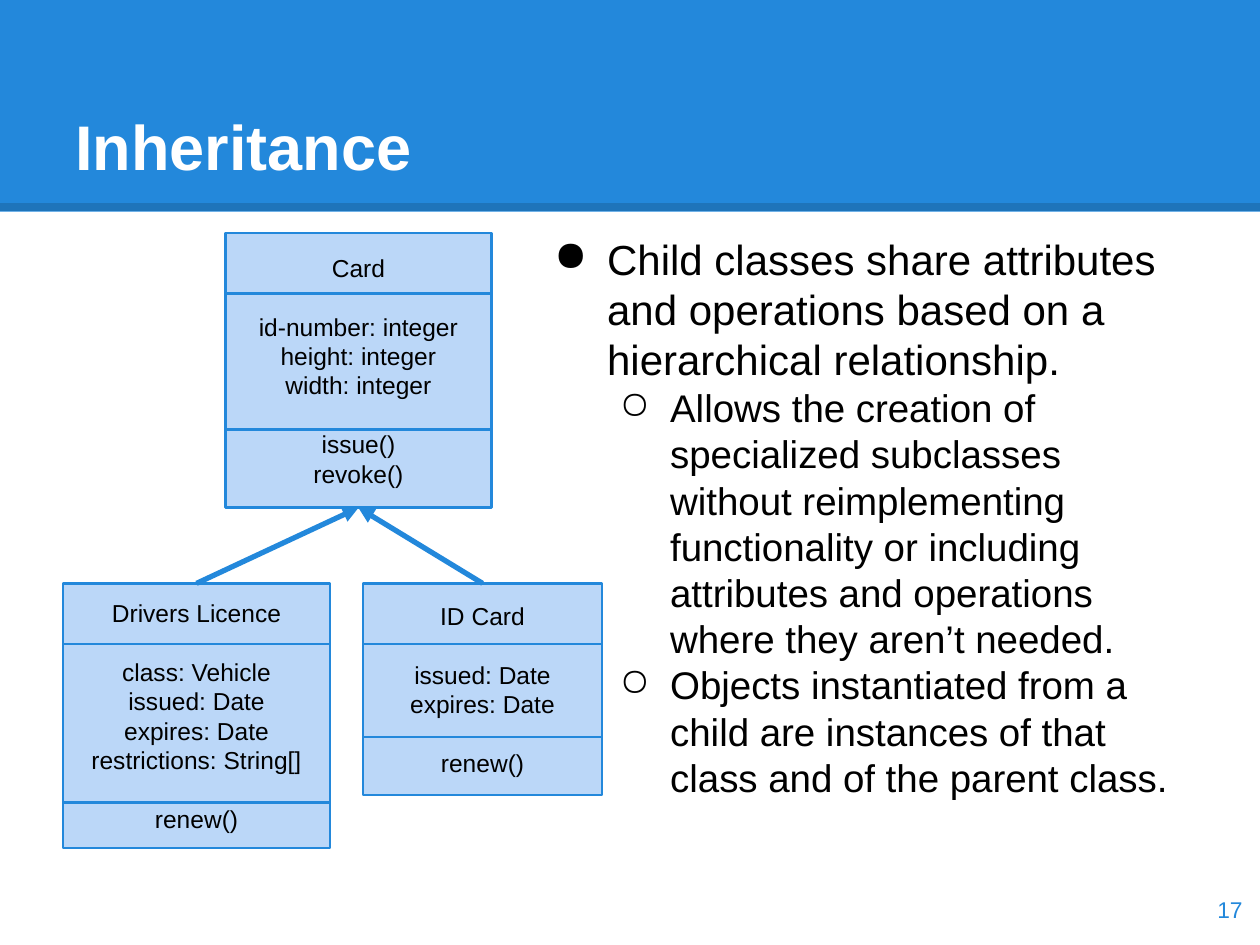
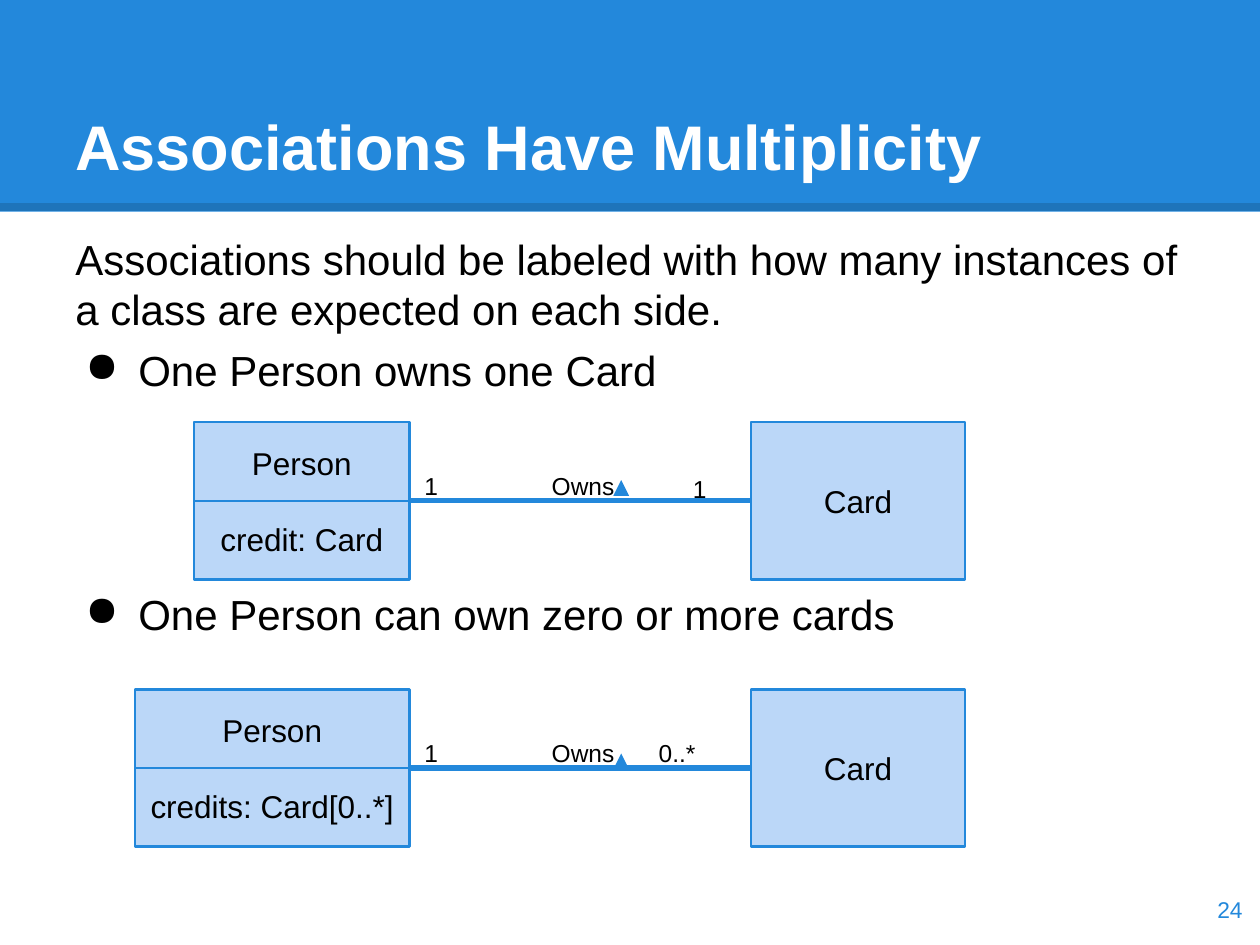
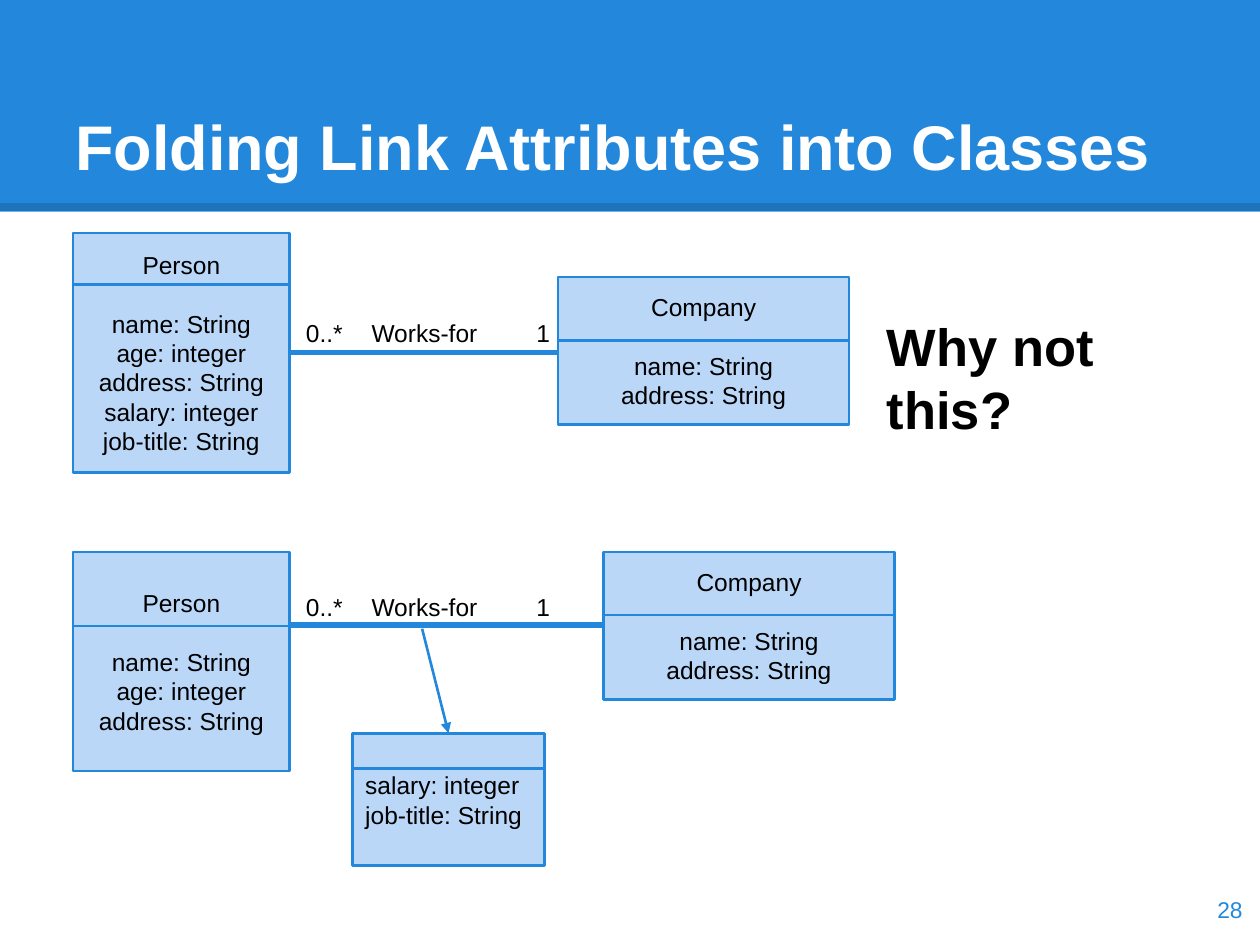
from dataclasses import dataclass

from lxml import etree
from pptx import Presentation
from pptx.dml.color import RGBColor
from pptx.enum.shapes import MSO_CONNECTOR, MSO_SHAPE
from pptx.enum.text import MSO_ANCHOR, PP_ALIGN
from pptx.oxml.ns import qn
from pptx.util import Inches, Pt

LEFT, CENTER, RIGHT = PP_ALIGN.LEFT, PP_ALIGN.CENTER, PP_ALIGN.RIGHT
TOP, MIDDLE, BOTTOM = MSO_ANCHOR.TOP, MSO_ANCHOR.MIDDLE, MSO_ANCHOR.BOTTOM
RECTANGLE, STRAIGHT = MSO_SHAPE.RECTANGLE, MSO_CONNECTOR.STRAIGHT

BLUE = RGBColor(0x23, 0x88, 0xDB)
DARK_BLUE = RGBColor(0x1E, 0x74, 0xBA)
PALE_BLUE = RGBColor(0xBB, 0xD7, 0xF8)
BLACK = RGBColor(0, 0, 0)
WHITE = RGBColor(0xFF, 0xFF, 0xFF)

FONT = "Arial"
PAGE_WIDTH, PAGE_HEIGHT = 10, 7.5
MARGIN = 0.5
CONTENT_WIDTH = PAGE_WIDTH - 2 * MARGIN
BODY_TOP = 1.75
LINE_HEIGHT = 1.2
THIN, THICK = 1.5, 3

# Bullet level: (character, left margin, hanging indent, text size)
BULLETS = {1: ("●", 0.5, -0.42, 24), 2: ("○", 1, -0.4, 22)}
BODY_SIZE, BODY_SPACE = 24, 6
DIAGRAM_GAP = 3 * (BODY_SIZE * LINE_HEIGHT + BODY_SPACE) + BODY_SPACE


@dataclass
class ClassBox:
    """A UML class: compartments of text, with dividers measured from the top."""
    left: float
    top: float
    width: float
    height: float
    compartments: list
    dividers: tuple = ()
    size: int = 14
    align: PP_ALIGN = CENTER

    @property
    def right(self):
        return self.left + self.width

    @property
    def top_center(self):
        return self.left + self.width / 2, self.top

    @property
    def bottom_center(self):
        return self.left + self.width / 2, self.top + self.height


# Slide 1
INHERITANCE_POINTS = [
    # level, space before, text
    (1, 0, "Child classes share attributes and operations based on a "
           "hierarchical relationship."),
    (2, 0, "Allows the creation of specialized subclasses without "
           "reimplementing functionality or including attributes and "
           "operations where they aren’t needed."),
    (2, 0, "Objects instantiated from a child are instances of that class "
           "and of the parent class."),
]
PARENT = ClassBox(1.79, 1.85, 2.11, 2.18, [
    ["Card"],
    ["id-number: integer", "height: integer", "width: integer"],
    ["issue()", "revoke()"],
], (0.48, 1.56))
CHILDREN = [
    ClassBox(0.5, 4.63, 2.12, 2.1, [
        ["Drivers Licence"],
        ["class: Vehicle", "issued: Date", "expires: Date",
         "restrictions: String[]"],
        ["renew()"],
    ], (0.48, 1.74)),
    ClassBox(2.88, 4.63, 1.9, 1.68, [
        ["ID Card"], ["issued: Date", "expires: Date"], ["renew()"],
    ], (0.48, 1.22)),
]

# Slide 2
MULTIPLICITY_POINTS = [
    (0, 0, "Associations should be labeled with how many instances of a "
           "class are expected on each side."),
    (1, BODY_SPACE, "One Person owns one Card"),
    (1, DIAGRAM_GAP, "One Person can own zero or more cards"),
]
OWNER_RIGHT, OWNED_LEFT = 3.25, 5.96
OWNED_WIDTH, OWNING_HEIGHT = 1.7, 1.25
OWNERSHIPS = [
    # top, owner width, owner attribute, (far label, left, width, drop), arrow drop
    (3.35, 1.71, "credit: Card", ("1", 5.4, 0.29, 0.31), 0.46),
    (5.47, 2.18, "credits: Card[0..*]", ("0..*", 5.13, 0.57, 0.29), 0.51),
]

# Slide 3
PERSON = ["name: String", "age: integer", "address: String"]
JOB = ["salary: integer", "job-title: String"]
COMPANY = ["name: String", "address: String"]
EMPLOYMENTS = [
    # person top, height, divider, attributes; company left, top; line y; labels y
    (1.85, 1.9, 0.41, PERSON + JOB, 4.43, 2.2, 2.8, 2.42),
    (4.38, 1.74, 0.59, PERSON, 4.79, 4.38, 4.96, 4.6),
]
EMPLOYMENT_LABELS = [("0..*", 2.33, 0.52), ("Works-for", 2.85, 1.42),
                     ("1", 4.16, 0.63)]
LINK_CLASS = ClassBox(2.8, 5.82, 1.52, 1.05, [JOB], (0.28,), align=LEFT)
LINK_START = (3.35, 4.99)


def format_paragraph(para, size, color=BLACK, bold=False, align=LEFT):
    para.alignment = align
    for span in para.runs:
        font = span.font
        font.name, font.size, font.bold = FONT, Pt(size), bold
        font.color.rgb = color


def prepare_frame(box, anchor):
    frame = box.text_frame
    frame.word_wrap = True
    frame.vertical_anchor = anchor
    frame.margin_left = frame.margin_right = Inches(0.1)
    frame.margin_top = frame.margin_bottom = Inches(0.1)
    return frame


def add_text_box(page, left, top, width, height, anchor=TOP):
    box = page.shapes.add_textbox(*map(Inches, (left, top, width, height)))
    return prepare_frame(box, anchor)


def add_label(page, text, left, top, width, height=0.3, size=14, anchor=TOP,
              **style):
    frame = add_text_box(page, left, top, width, height, anchor)
    frame.text = text
    format_paragraph(frame.paragraphs[0], size, **style)


def add_rectangle(page, left, top, width, height, fill):
    box = page.shapes.add_shape(
        RECTANGLE, *map(Inches, (left, top, width, height)))
    box.shadow.inherit = False
    box.fill.solid()
    box.fill.fore_color.rgb = fill
    box.line.fill.background()
    return box


def add_line(page, start, end, width=THIN, color=BLUE, arrow=False):
    connector = page.shapes.add_connector(
        STRAIGHT, *map(Inches, (*start, *end)))
    connector.line.color.rgb = color
    connector.line.width = Pt(width)
    if arrow:
        outline = connector.line._get_or_add_ln()
        etree.SubElement(outline, qn("a:tailEnd"), type="triangle")
    etree.SubElement(connector._element.spPr, qn("a:effectLst"))


def add_class(page, item):
    box = add_rectangle(page, item.left, item.top, item.width, item.height,
                        PALE_BLUE)
    box.line.color.rgb = BLUE
    box.line.width = Pt(THIN)
    frame = prepare_frame(box, MIDDLE)
    frame.text = "\n".join(sum(item.compartments, []))
    paragraphs = iter(frame.paragraphs)
    for index, compartment in enumerate(item.compartments):
        for row, _ in enumerate(compartment):
            para = next(paragraphs)
            format_paragraph(para, item.size, align=item.align)
            if index and row == 0:
                para.space_before = Pt(item.size * LINE_HEIGHT)
    for offset in item.dividers:
        y = item.top + offset
        add_line(page, (item.left, y), (item.right, y))


def add_bullet(para, character, margin, indent):
    properties = para._p.get_or_add_pPr()
    properties.set("marL", str(Inches(margin)))
    properties.set("indent", str(Inches(indent)))
    color = etree.SubElement(properties, qn("a:buClr"))
    etree.SubElement(color, qn("a:srgbClr"), val=str(BLACK))
    etree.SubElement(properties, qn("a:buChar"), char=character)


def add_body(page, points, left, width, height):
    frame = add_text_box(page, left, BODY_TOP, width, height)
    frame.text = "\n".join(text for _, _, text in points)
    for para, (level, space, _) in zip(frame.paragraphs, points):
        size = BODY_SIZE
        if level:
            *bullet, size = BULLETS[level]
            add_bullet(para, *bullet)
        if space:
            para.space_before = Pt(space)
        format_paragraph(para, size)


def add_page(deck, title, number):
    """Add a slide with the title band and the slide number."""
    page = deck.slides.add_slide(deck.slide_layouts[6])
    add_rectangle(page, 0, 0, PAGE_WIDTH, 1.68, BLUE)
    add_line(page, (0, 1.64), (PAGE_WIDTH, 1.64), 4.5, DARK_BLUE)
    add_label(page, title, MARGIN, 0.3, CONTENT_WIDTH, 1.25, 36, BOTTOM,
              color=WHITE, bold=True)
    add_label(page, str(number), 9.36, 6.93, 0.6, 0.57, 13, MIDDLE,
              color=BLUE, align=RIGHT)
    return page


def build_inheritance(deck):
    page = add_page(deck, "Inheritance", 17)
    add_body(page, INHERITANCE_POINTS, 4.22, 5.28, 5.43)
    add_class(page, PARENT)
    for child in CHILDREN:
        add_class(page, child)
        add_line(page, child.top_center, PARENT.bottom_center, THICK,
                 arrow=True)


def build_multiplicity(deck):
    page = add_page(deck, "Associations Have Multiplicity", 24)
    add_body(page, MULTIPLICITY_POINTS, MARGIN, CONTENT_WIDTH, 0.97)
    half = OWNING_HEIGHT / 2
    for top, width, attribute, far_label, arrow_drop in OWNERSHIPS:
        add_class(page, ClassBox(OWNER_RIGHT - width, top, width,
                                 OWNING_HEIGHT, [["Person"], [attribute]],
                                 (half,), 18))
        add_class(page, ClassBox(OWNED_LEFT, top, OWNED_WIDTH, OWNING_HEIGHT,
                                 [["Card"]], size=18))
        add_line(page, (OWNER_RIGHT, top + half), (OWNED_LEFT, top + half),
                 THICK)
        add_label(page, "Owns", 4.28, top + 0.29, 1.55)
        add_label(page, "1", 3.27, top + 0.29, 0.29)
        text, left, label_width, drop = far_label
        add_label(page, text, left, top + drop, label_width)
        tip = top + arrow_drop
        add_line(page, (4.93, tip + 0.03), (4.93, tip), THICK, arrow=True)


def build_folding(deck):
    page = add_page(deck, "Folding Link Attributes into Classes", 28)
    for (top, height, divider, attributes, company_left, company_top,
         line_y, label_y) in EMPLOYMENTS:
        person = ClassBox(0.58, top, 1.72, height, [["Person"], attributes],
                          (divider,))
        company = ClassBox(company_left, company_top, 2.31, 1.17,
                           [["Company"], COMPANY], (0.5,))
        add_class(page, person)
        add_class(page, company)
        add_line(page, (company.left, line_y), (person.right, line_y), THICK)
        for text, left, width in EMPLOYMENT_LABELS:
            add_label(page, text, left, label_y, width, 0.28)
    add_class(page, LINK_CLASS)
    add_line(page, LINK_START, LINK_CLASS.top_center, arrow=True)
    add_label(page, "Why not this?", 6.94, 2.39, 2.56, 0.63, 30, bold=True)


def main():
    deck = Presentation()
    deck.slide_width, deck.slide_height = Inches(PAGE_WIDTH), Inches(PAGE_HEIGHT)
    build_inheritance(deck)
    build_multiplicity(deck)
    build_folding(deck)
    deck.save("out.pptx")


if __name__ == "__main__":
    main()
